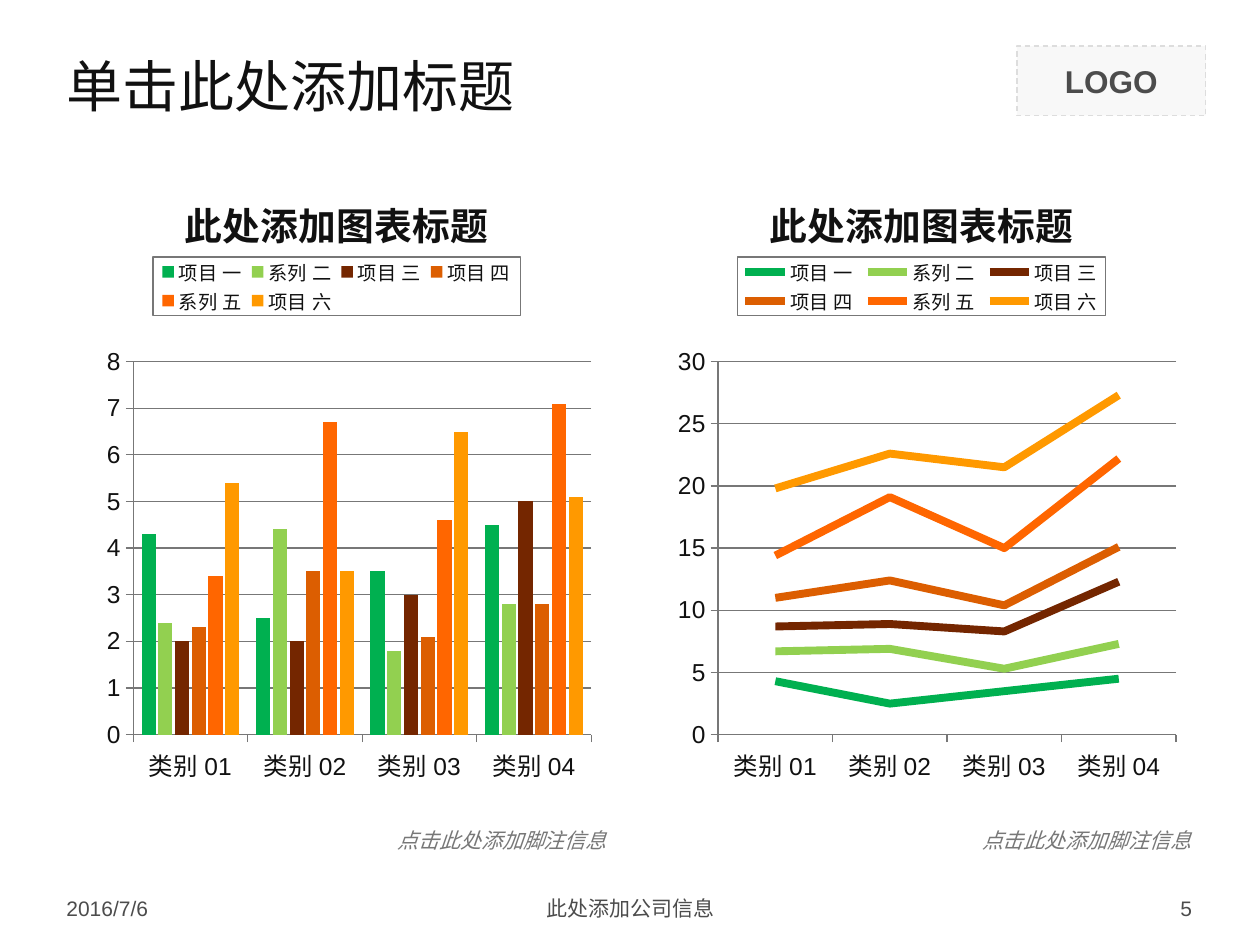
from lxml import etree
from pptx import Presentation
from pptx import util as u
from pptx.chart.data import CategoryChartData
from pptx.dml.color import RGBColor
from pptx.enum import chart as ch
from pptx.enum import dml, shapes, text
from pptx.oxml import parse_xml
from pptx.oxml.ns import nsdecls, qn

INK = RGBColor(0x11, 0x11, 0x11)
DARK = RGBColor(0x4C, 0x4C, 0x4C)
GRAY = RGBColor(0x77, 0x77, 0x77)
PALE = RGBColor(0xF8, 0xF8, 0xF8)
EDGE = RGBColor(0xDD, 0xDD, 0xDD)
GREEN = RGBColor(0x00, 0xB0, 0x50)
LIME = RGBColor(0x92, 0xD0, 0x50)
BROWN = RGBColor(0x74, 0x26, 0x00)
RUST = RGBColor(0xDC, 0x5E, 0x01)
ORANGE = RGBColor(0xFF, 0x66, 0x00)
AMBER = RGBColor(0xFF, 0x99, 0x00)

LEFT, CENTER, RIGHT = text.PP_ALIGN.LEFT, text.PP_ALIGN.CENTER, text.PP_ALIGN.RIGHT
CATS = ["类别 01", "类别 02", "类别 03", "类别 04"]
SERIES = [
    ("项目 一", (4.3, 2.5, 3.5, 4.5), GREEN),
    ("系列 二", (2.4, 4.4, 1.8, 2.8), LIME),
    ("项目 三", (2, 2, 3, 5), BROWN),
    ("项目 四", (2.3, 3.5, 2.1, 2.8), RUST),
    ("系列 五", (3.4, 6.7, 4.6, 7.1), ORANGE),
    ("项目 六", (5.4, 3.5, 6.5, 5.1), AMBER),
]


def style(font, size, color, name="Arial", bold=False, italic=False):
    font.size, font.name = u.Pt(size), name
    font.color.rgb = color
    font.bold, font.italic = bold, italic


def write(frame, words, align, *look, **more):
    frame.vertical_anchor = text.MSO_ANCHOR.MIDDLE
    par = frame.paragraphs[0]
    par.text, par.alignment = words, align
    style(par.font, *look, **more)


def label(slide, box, words, align, *look, wrap=True, **more):
    frame = slide.shapes.add_textbox(*map(u.Cm, box)).text_frame
    frame.word_wrap = wrap
    write(frame, words, align, *look, **more)


def badge(slide, box, words):
    shape = slide.shapes.add_shape(shapes.MSO_SHAPE.RECTANGLE, *map(u.Cm, box))
    shape.shadow.inherit = False
    shape.fill.solid()
    shape.fill.fore_color.rgb = PALE
    shape.line.color.rgb = EDGE
    shape.line.width = u.Pt(0.75)
    shape.line.dash_style = dml.MSO_LINE.DASH
    write(shape.text_frame, words, CENTER, 18, DARK, bold=True)


def layout(x, y, w, h, inner=False):
    """Manual chart layout, in fractions of the chart's size."""
    target = '<c:layoutTarget val="inner"/>' if inner else ""
    return parse_xml(
        f'<c:layout {nsdecls("c")}><c:manualLayout>{target}'
        '<c:xMode val="edge"/><c:yMode val="edge"/>'
        f'<c:x val="{x}"/><c:y val="{y}"/><c:w val="{w}"/><c:h val="{h}"/>'
        '</c:manualLayout></c:layout>')


def rule(line):
    line.color.rgb = GRAY
    line.width = u.Pt(0.75)


def key(chart):
    """Framed legend above the plot."""
    chart.has_legend = True
    legend = chart.legend
    legend.position = ch.XL_LEGEND_POSITION.TOP
    legend.include_in_layout = False
    style(legend.font, 11, INK)
    root = legend._element
    for old in root.findall(qn("c:layout")):
        root.remove(old)
    root.find(qn("c:legendPos")).addnext(layout(0.175, 0.14, 0.65, 0.09))
    frame = parse_xml(
        f'<c:spPr {nsdecls("c", "a")}><a:ln w="9525"><a:solidFill>'
        f'<a:srgbClr val="{GRAY}"/></a:solidFill></a:ln></c:spPr>')
    root.find(qn("c:overlay")).addnext(frame)


def graph(slide, kind, box):
    data = CategoryChartData()
    data.categories = CATS
    for name, vals, _ in SERIES:
        data.add_series(name, vals)
    chart = slide.shapes.add_chart(kind, *map(u.Cm, box), data).chart
    style(chart.font, 18, INK)
    chart.has_title = True
    write(chart.chart_title.text_frame, "此处添加图表标题", CENTER, 21.6, INK, bold=True)
    key(chart)

    area = chart._chartSpace.chart.plotArea
    for old in area.findall(qn("c:layout")):
        area.remove(old)
    area.insert(0, layout(0.14, 0.3, 0.81, 0.57, inner=True))

    for axis in (chart.category_axis, chart.value_axis):
        style(axis.tick_labels.font, 14, INK)
        axis.major_tick_mark = ch.XL_TICK_MARK.OUTSIDE
        axis.minor_tick_mark = ch.XL_TICK_MARK.NONE
        rule(axis.format.line)
    chart.value_axis.has_major_gridlines = True
    rule(chart.value_axis.major_gridlines.format.line)

    plot = chart.plots[0]
    plot.vary_by_categories = False
    bars = kind == ch.XL_CHART_TYPE.COLUMN_CLUSTERED
    if bars:
        plot.gap_width, plot.overlap = 117, -18
    for item, (_, _, color) in zip(plot.series, SERIES):
        if bars:
            item.format.fill.solid()
            item.format.fill.fore_color.rgb = color
        else:
            item.smooth = False
            item.marker.style = ch.XL_MARKER_STYLE.NONE
            item.format.line.color.rgb = color
            item.format.line.width = u.Pt(4.5)


def main():
    deck = Presentation()
    deck.slide_width, deck.slide_height = u.Cm(25.4), u.Cm(19.05)
    slide = deck.slides.add_slide(deck.slide_layouts[6])

    badge(slide, (20.5, 0.93, 3.81, 1.4), "LOGO")
    label(slide, (1.09, 0.71, 19, 2), "单击此处添加标题", LEFT, 32, INK, "Montserrat")

    kinds = ch.XL_CHART_TYPE.COLUMN_CLUSTERED, ch.XL_CHART_TYPE.LINE_STACKED
    for kind, left in zip(kinds, (1.09, 12.88)):
        graph(slide, kind, (left, 3.33, 11.4, 13.2))
        label(slide, (left + 6.63, 16.56, 4.77, 0.76), "点击此处添加脚注信息",
              RIGHT, 12, GRAY, wrap=False, italic=True)

    for left, wide, words, align in (
            (1.09, 5.92, "2016/7/6", LEFT),
            (8.69, 8.05, "此处添加公司信息", CENTER),
            (18.36, 5.92, "5", RIGHT)):
        label(slide, (left, 17.93, wide, 0.74), words, align, 12, DARK)

    deck.save("out.pptx")


if __name__ == "__main__":
    main()
